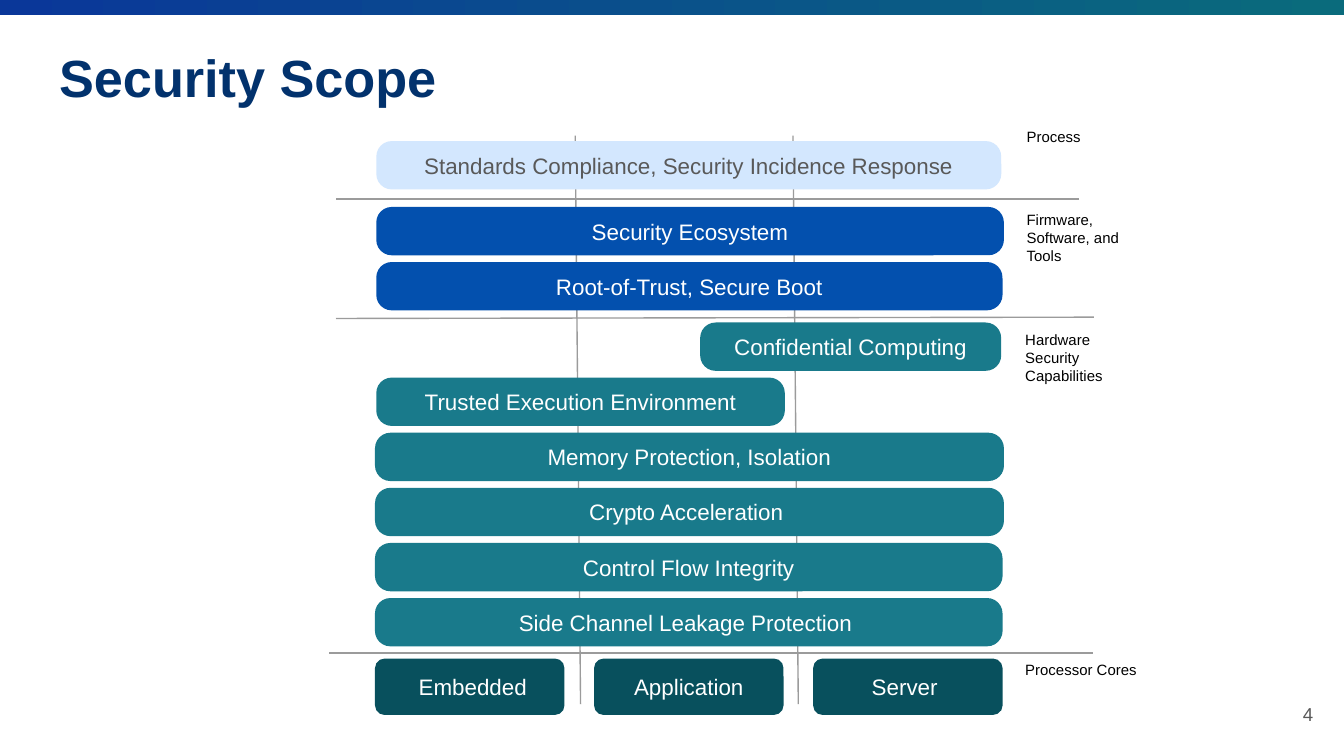
import pptx
import pptx.util
import pptx.dml.color
import pptx.enum.shapes
import pptx.enum.text
import pptx.oxml.ns
from lxml import etree

Inches = pptx.util.Inches
SHAPES = pptx.enum.shapes.MSO_SHAPE
ALIGN = pptx.enum.text.PP_ALIGN
ANCHOR = pptx.enum.text.MSO_ANCHOR

# Content: layers are (top of first bar, fill, text colour, bars);
# each bar is (text, left, right)
LEFT, RIGHT = 2.79, 7.46
LAYERS = [
    (1.05, "D3E7FE", "595959", [
        ("Standards Compliance, Security Incidence Response", 2.8, 7.45),
    ]),
    (1.54, "0350AE", "FFFFFF", [
        ("Security Ecosystem", 2.8, 7.47),
        ("Root-of-Trust, Secure Boot", 2.8, RIGHT),
    ]),
    (2.4, "197A8B", "FFFFFF", [
        ("Confidential Computing", 5.21, 7.45),
        ("Trusted Execution Environment", 2.8, 5.84),
        ("Memory Protection, Isolation", LEFT, 7.47),
        ("Crypto Acceleration ", LEFT, 7.47),
        ("Control Flow Integrity", LEFT, RIGHT),
        ("Side Channel Leakage Protection ", LEFT, RIGHT),
    ]),
]
CORES = [" Embedded", "Application", "Server "]
LABELS = [  # text, left, top, width, height
    (["Process"], 7.54, 0.9, 0.61, 0.24),
    (["Firmware,", "Software, and", "Tools"], 7.54, 1.52, 0.93, 0.5),
    (["Hardware", "Security", "Capabilities"], 7.53, 2.41, 0.78, 0.5),
    (["Processor Cores"], 7.53, 4.87, 1.04, 0.24),
]
DIVIDERS = [  # start x, start y, end x, end y
    (4.28, 1.01, 4.32, 5.24),
    (5.9, 1.01, 5.94, 5.24),
    (8.03, 1.48, 2.5, 1.48),
    (8.14, 2.36, 2.5, 2.37),
    (8.13, 4.86, 2.45, 4.86),
]
BAR_HEIGHT, BAR_PITCH = 0.36, 0.41
CORE_WIDTH, CORE_HEIGHT, CORE_TOP = 1.41, 0.42, 4.9


def color(hex_string):
    return pptx.dml.color.RGBColor.from_string(hex_string)


def write(shape, lines, size=12, fill="000000", bold=False, align=ALIGN.LEFT,
          anchor=ANCHOR.TOP, wrap=True, inset=(0.1, 0.05)):
    frame = shape.text_frame
    frame.word_wrap = wrap
    frame.auto_size = pptx.enum.text.MSO_AUTO_SIZE.NONE
    frame.vertical_anchor = anchor
    frame.margin_left = frame.margin_right = Inches(inset[0])
    frame.margin_top = frame.margin_bottom = Inches(inset[1])
    frame.text = "\n".join(lines)
    for paragraph in frame.paragraphs:
        paragraph.alignment = align
        font = paragraph.font
        font.name, font.size, font.bold = "Arial", pptx.util.Pt(size), bold
        font.color.rgb = color(fill)


def add_box(slide, kind, left, top, width, height):
    shape = slide.shapes.add_shape(kind, *map(Inches, (left, top, width, height)))
    shape.shadow.inherit = False
    shape.line.fill.background()
    return shape


def add_bar(slide, text, left, top, width, height, fill, text_color, corner):
    bar = add_box(slide, SHAPES.ROUNDED_RECTANGLE, left, top, width, height)
    bar.adjustments[0] = corner
    bar.fill.solid()
    bar.fill.fore_color.rgb = color(fill)
    write(bar, [text], fill=text_color, align=ALIGN.CENTER, anchor=ANCHOR.MIDDLE)


def add_divider(slide, *ends):
    line = slide.shapes.add_connector(
        pptx.enum.shapes.MSO_CONNECTOR.STRAIGHT, *map(Inches, ends))
    line.line.color.rgb = color("9B9B9B")
    line.line.width = pptx.util.Pt(0.75)
    properties = line.element.find(pptx.oxml.ns.qn("p:spPr"))
    etree.SubElement(properties, pptx.oxml.ns.qn("a:effectLst"))


def main():
    # Widescreen slide, 16:9
    presentation = pptx.Presentation()
    presentation.slide_width = Inches(10)
    presentation.slide_height = Inches(10 * 9 / 16)
    slide = presentation.slides.add_slide(presentation.slide_layouts[5])

    # Top band
    band = add_box(slide, SHAPES.RECTANGLE, 0, 0, 10, 0.11)
    band.fill.gradient()
    band.fill.gradient_angle = 0
    for stop, position, shade in zip(band.fill.gradient_stops, (0, 1),
                                     ("0A3799", "0A6B7C")):
        stop.position = position
        stop.color.rgb = color(shade)

    # Title and page number
    title = slide.shapes.title
    title.left, title.top = Inches(0.34), Inches(0.24)
    title.width, title.height = Inches(9.32), Inches(0.82)
    write(title, ["Security Scope"], size=28, fill="02326D", bold=True,
          inset=(0.1, 0.1))
    number = slide.shapes.add_textbox(*map(Inches, (9.27, 5.1, 0.6, 0.43)))
    write(number, ["4"], size=10, fill="595959", align=ALIGN.RIGHT,
          anchor=ANCHOR.MIDDLE, inset=(0.1, 0.1))

    # Divider lines lie behind the bars
    for ends in DIVIDERS:
        add_divider(slide, *ends)

    # Security layers
    for first_top, fill, text_color, bars in LAYERS:
        for row, (text, left, right) in enumerate(bars):
            add_bar(slide, text, left, first_top + row * BAR_PITCH,
                    right - left, BAR_HEIGHT, fill, text_color, 0.32)

    # Processor cores, spread evenly over the full width
    core_pitch = (RIGHT - LEFT - CORE_WIDTH) / (len(CORES) - 1)
    for column, text in enumerate(CORES):
        add_bar(slide, text, LEFT + column * core_pitch, CORE_TOP, CORE_WIDTH,
                CORE_HEIGHT, "08505D", "FFFFFF", 0.17)

    # Layer labels
    for lines, *place in LABELS:
        label = slide.shapes.add_textbox(*map(Inches, place))
        write(label, lines, size=8, wrap=False)

    presentation.save("out.pptx")


if __name__ == "__main__":
    main()
